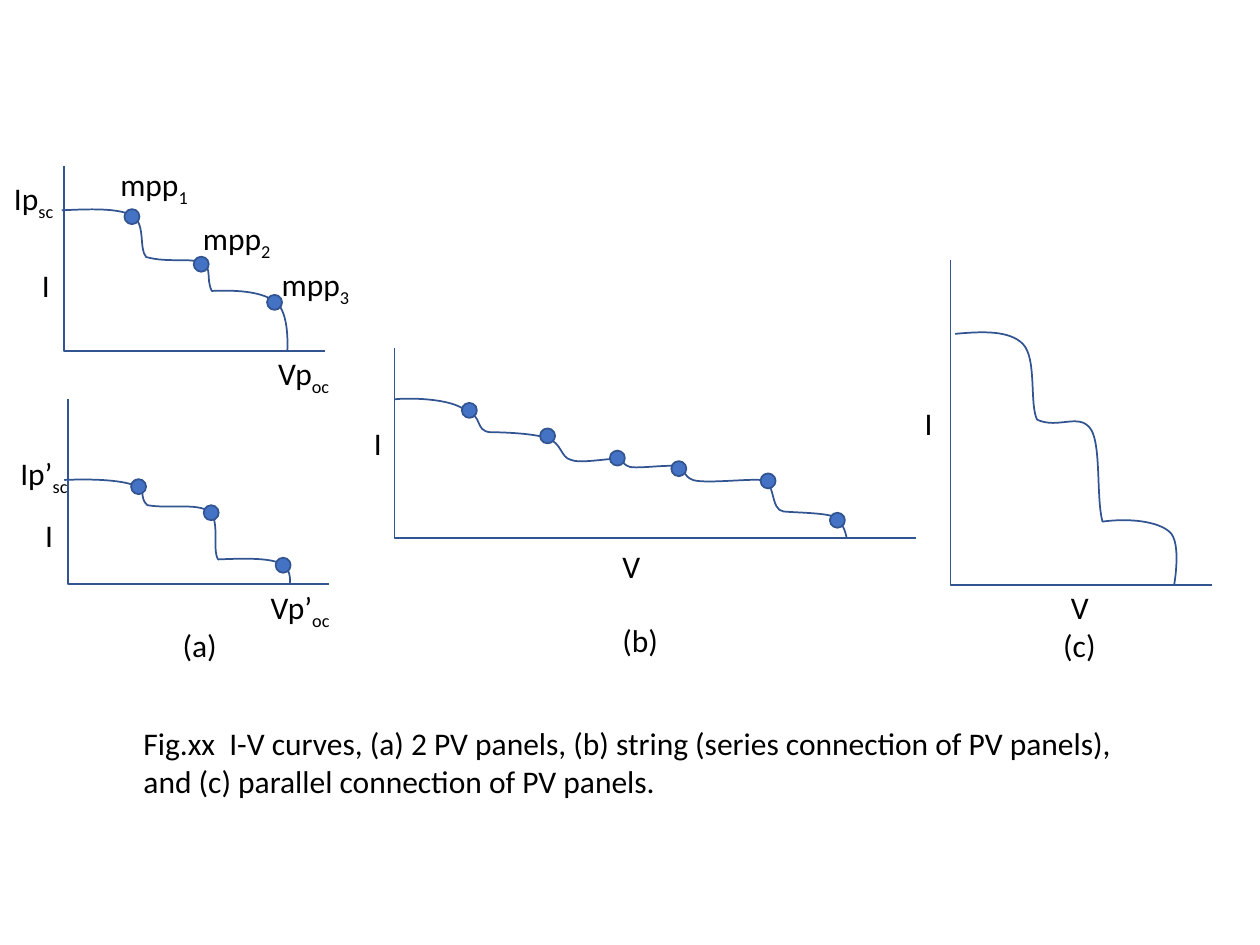
from dataclasses import dataclass

from lxml import etree
from pptx import Presentation
from pptx.dml.color import RGBColor
from pptx.enum.shapes import MSO_SHAPE
from pptx.enum.text import MSO_AUTO_SIZE
from pptx.oxml.ns import qn
from pptx.util import Pt

OVAL = MSO_SHAPE.OVAL
FIT = MSO_AUTO_SIZE.SHAPE_TO_FIT_TEXT
Point = tuple[float, float]


@dataclass(frozen=True)
class Theme:
    font: str = "Calibri"
    size: float = 18
    text: RGBColor = RGBColor(0, 0, 0)
    line: RGBColor = RGBColor(0x32, 0x54, 0x91)
    marker: RGBColor = RGBColor(0x44, 0x72, 0xC4)
    line_width: float = 1
    marker_size: float = 8.6


@dataclass(frozen=True)
class Graph:
    left: float
    top: float
    width: float
    height: float
    start: Point
    curve: list[tuple[Point, Point, Point]]
    markers: list[Point]


@dataclass(frozen=True)
class Label:
    left: float
    top: float
    width: float
    lines: tuple[str, ...]
    sub: str = ""
    height: float = 28.8


THEME = Theme()

GRAPHS = [
    Graph(36.7, 95, 149, 105.7, (35.3, 120.2), [
        ((51.1, 119.5), (67, 118.8), (75.6, 123.1)),
        ((83.5, 128.2), (79.2, 141.8), (83.5, 146.9)),
        ((96.5, 150.5), (109.4, 146.9), (115.2, 150.5)),
        ((121.7, 153.4), (117.4, 158.4), (121, 166.3)),
        ((137.5, 165.6), (150.5, 167), (157.7, 172.8)),
        ((165.6, 178.6), (164.2, 200.2), (164.2, 200.2)),
    ], [(71.1, 119.5), (110.7, 146.7), (152.6, 168.5)]),
    Graph(38.9, 228.2, 149, 105.5, (36.7, 274.3), [
        ((52.6, 273.6), (68.4, 274.3), (76.3, 277.2)),
        ((84.2, 279.4), (79.2, 284.4), (84.2, 288.7)),
        ((96.5, 290.9), (112.3, 287.3), (119.5, 292.3)),
        ((126, 297.4), (121, 313.9), (124.6, 319.7)),
        ((141.1, 319), (153.4, 319), (159.8, 321.8)),
        ((167, 324), (165.6, 333.4), (165.6, 333.4)),
    ], [(74.9, 273.8), (116.4, 288.7), (157.5, 318.7)]),
    Graph(225.4, 198.7, 298, 108.9, (225.4, 228.2), [
        ((230.4, 227.5), (258.5, 226.8), (267.1, 235.4)),
        ((275.8, 237.6), (271.4, 246.2), (280.1, 247)),
        ((288, 247), (306, 247.7), (313.2, 250.6)),
        ((321.1, 253.4), (320.4, 261.4), (326.2, 262.8)),
        ((331.2, 265), (346.3, 262.1), (352.8, 262.1)),
        ((358.6, 265.7), (357.1, 267.1), (363.6, 267.1)),
        ((370.8, 267.1), (380.9, 265.7), (386.6, 266.4)),
        ((391.7, 267.8), (390.2, 272.2), (396, 274.3)),
        ((402.5, 276.5), (427, 273.6), (434.9, 274.3)),
        ((443.5, 274.3), (439.9, 291.6), (447.8, 292.3)),
        ((455.8, 293), (470.2, 293), (476.6, 295.2)),
        ((482.4, 298.1), (483.8, 307.4), (483.8, 307.4)),
    ], [(263.9, 230.2), (308.6, 244.8), (348.5, 257.5),
        (383.6, 263.5), (434.6, 270.5), (474.2, 293)]),
    Graph(543.2, 148.3, 149.2, 185.8, (545.8, 190.8), [
        ((560.9, 189.4), (576.7, 188.6), (584.6, 196.6)),
        ((592.6, 205.2), (588.2, 230.4), (592.6, 239.8)),
        ((604.8, 245.5), (617, 235.4), (623.5, 245.5)),
        ((629.3, 254.9), (626.4, 284.4), (630, 298.1)),
        ((645.8, 295.9), (661.7, 298.1), (668.2, 303.8)),
        ((675.4, 309.6), (671, 334.1), (671, 334.1)),
    ], []),
]

LABELS = [
    Label(97.2, 354.2, 34.6, ("(a)",)),
    Label(348.5, 351.4, 35.3, ("(b)",)),
    Label(600.5, 354.2, 33.1, ("(c)",)),
    Label(151.9, 198.7, 45.4, ("Vp",), "oc"),
    Label(147.6, 332.6, 49.7, ("Vp’",), "oc"),
    Label(604.8, 332.6, 25.2, ("V",)),
    Label(348.5, 308.9, 25.2, ("V",)),
    Label(0.9, 98.6, 38.9, ("Ip",), "sc"),
    Label(4.5, 255.8, 42.5, ("Ip’",), "sc"),
    Label(16.8, 148.3, 19.4, ("I",)),
    Label(18.7, 291.1, 19.4, ("I",)),
    Label(206.6, 239, 19.4, ("I",)),
    Label(521.3, 227.5, 19.4, ("I",)),
    Label(61.7, 90.7, 54.7, ("mpp",), "1"),
    Label(108.9, 121.7, 54.7, ("mpp",), "2"),
    Label(153.9, 148.1, 54.7, ("mpp",), "3"),
    Label(74.9, 410.4, 574.6, (
        "Fig.xx  I-V curves, (a) 2 PV panels, (b) string (series connection of PV panels),",
        "and (c) parallel connection of PV panels."), height=51.1),
]


def style_line(sp) -> None:
    """Apply the common outline and remove the shadow."""
    sp.shadow.inherit = False
    sp.line.color.rgb = THEME.line
    sp.line.width = Pt(THEME.line_width)


def add_outline(s, points: list[Point]):
    """Draw an open, unfilled outline through the points."""
    (x, y), *rest = [(Pt(px), Pt(py)) for px, py in points]
    builder = s.shapes.build_freeform(x, y)
    builder.add_line_segments(rest, close=False)
    sp = builder.convert_to_shape()
    sp.fill.background()
    style_line(sp)
    return sp


def add_curve(s, start: Point, curve: list[tuple[Point, Point, Point]]) -> None:
    """Draw a chain of cubic Bezier segments."""
    sp = add_outline(s, [start, *(point for segment in curve for point in segment)])
    outline = next(sp.element.iter(qn("a:path")))
    steps = outline.findall(qn("a:lnTo"))
    for i in range(0, len(steps), 3):
        bezier = etree.SubElement(outline, qn("a:cubicBezTo"))
        for step in steps[i:i + 3]:
            bezier.append(step[0])
            outline.remove(step)


def add_graph(s, graph: Graph) -> None:
    """Draw the axes, the stepped curve and its power point markers."""
    bottom = graph.top + graph.height
    add_outline(s, [(graph.left, graph.top), (graph.left, bottom),
                    (graph.left + graph.width, bottom)])
    add_curve(s, graph.start, graph.curve)
    size = Pt(THEME.marker_size)
    for x, y in graph.markers:
        sp = s.shapes.add_shape(OVAL, Pt(x), Pt(y), size, size)
        sp.fill.solid()
        sp.fill.fore_color.rgb = THEME.marker
        style_line(sp)


def add_run(p, text: str, baseline: int = 0) -> None:
    """Add one run of text, lowered when a baseline is given."""
    r = p.add_run()
    r.text = text
    r.font.name = THEME.font
    r.font.size = Pt(THEME.size)
    r.font.color.rgb = THEME.text
    if baseline:
        r._r.get_or_add_rPr().set("baseline", str(baseline))


def add_label(s, label: Label) -> None:
    """Add an unwrapped text box with an optional subscript."""
    sp = s.shapes.add_textbox(Pt(label.left), Pt(label.top), Pt(label.width), Pt(label.height))
    tf = sp.text_frame
    tf.word_wrap = False
    tf.auto_size = FIT
    for i, line in enumerate(label.lines):
        p = tf.add_paragraph() if i else tf.paragraphs[0]
        add_run(p, line)
    if label.sub:
        add_run(p, label.sub, -25000)


def main() -> None:
    """Build the slide and save it."""
    prs = Presentation()
    prs.slide_width, prs.slide_height = Pt(720), Pt(540)
    s = prs.slides.add_slide(prs.slide_layouts[6])
    for graph in GRAPHS:
        add_graph(s, graph)
    for label in LABELS:
        add_label(s, label)
    prs.save("out.pptx")


main()
